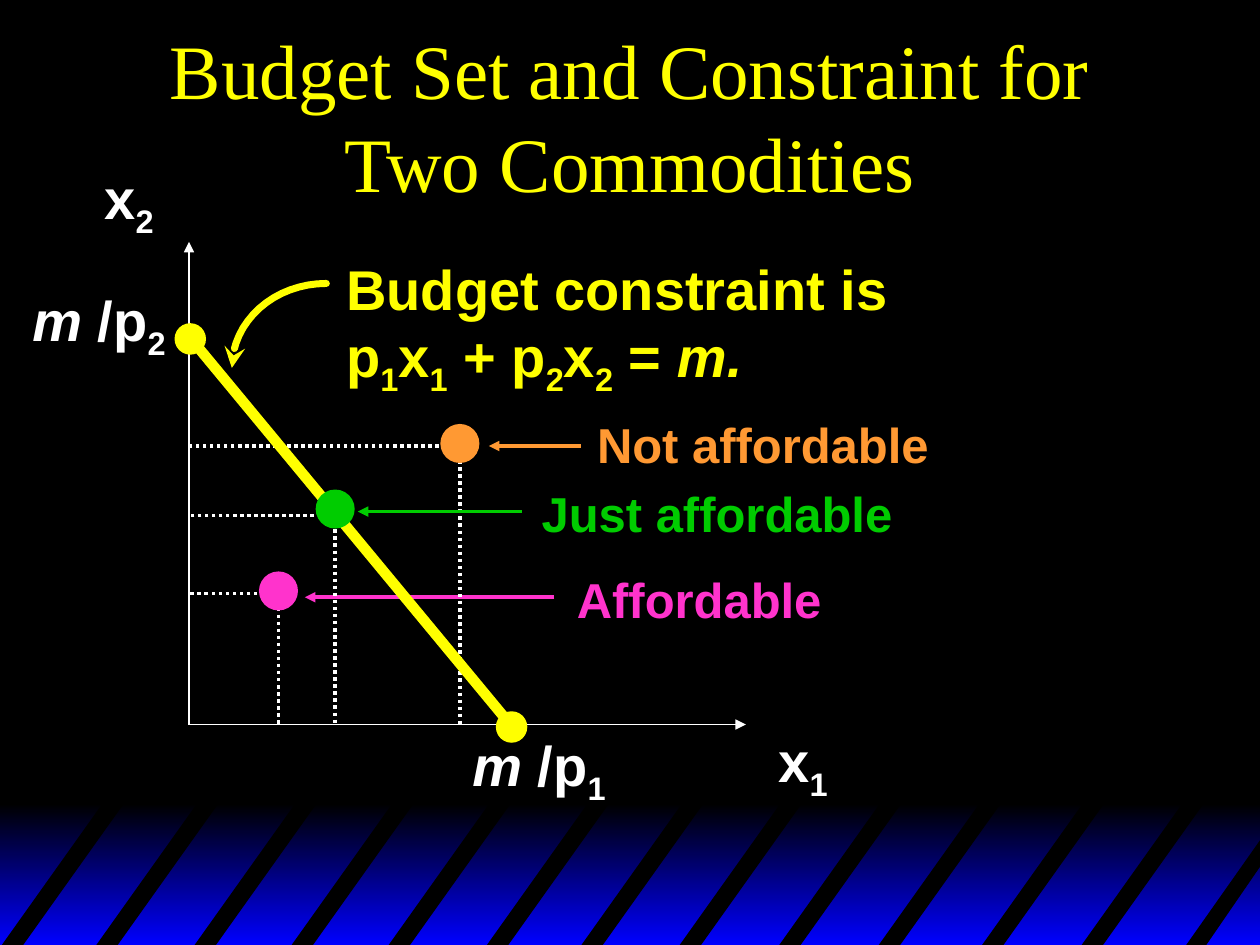
from collections import namedtuple
from math import cos, pi, sin

from lxml import etree
from pptx import Presentation
from pptx.dml.color import RGBColor
from pptx.enum.dml import MSO_LINE
from pptx.enum.shapes import MSO_CONNECTOR, MSO_SHAPE
from pptx.enum.text import MSO_ANCHOR, PP_ALIGN
from pptx.oxml.ns import qn
from pptx.util import Inches, Pt

BLACK = RGBColor(0x00, 0x00, 0x00)
BLUE = RGBColor(0x00, 0x00, 0xFF)
WHITE = RGBColor(0xFF, 0xFF, 0xFF)
YELLOW = RGBColor(0xFF, 0xFF, 0x00)
PINK = RGBColor(0xFF, 0x33, 0xCC)
GREEN = RGBColor(0x00, 0xCC, 0x00)
ORANGE = RGBColor(0xFF, 0x99, 0x33)

STRAIGHT = MSO_CONNECTOR.STRAIGHT
OVAL = MSO_SHAPE.OVAL
RECTANGLE = MSO_SHAPE.RECTANGLE
DOTTED = MSO_LINE.ROUND_DOT
MIDDLE = MSO_ANCHOR.MIDDLE
CENTER = PP_ALIGN.CENTER

Box = namedtuple("Box", "left top width height")
Bundle = namedtuple("Bundle", "label color x guide_y dot_y arrow_y arrow_from arrow_to label_box")

BUNDLES = [
    Bundle("Affordable", PINK, 0.71, 2.79, 2.77, 2.82, 2.9, 0.92, Box(2.98, 2.55, 2.14, 0.57)),
    Bundle("Not affordable", ORANGE, 2.15, 1.62, 1.6, 1.62, 3.11, 2.38, Box(3.14, 1.32, 2.83, 0.57)),
    Bundle("Just affordable", GREEN, 1.16, 2.17, 2.12, 2.14, 2.64, 1.34, Box(2.7, 1.87, 2.99, 0.57)),
]
STRIPE_LEFTS = [0, 0.75, 1.53, 2.3, 3.07, 3.85, 4.6, 5.38, 6.17, 6.96, 7.78, 8.57]


def inside(box, part):
    return Box(box.left + part.left, box.top + part.top, part.width, part.height)


def add_text(page, box, lines, size, color, font="Arial", bold=True, wrap=True):
    text_box = page.shapes.add_textbox(*map(Inches, box))
    frame = text_box.text_frame
    frame.word_wrap = wrap
    for index, spans in enumerate(lines):
        para = frame.paragraphs[0] if index == 0 else frame.add_paragraph()
        for text, style in spans:
            span = para.add_run()
            span.text = text
            span.font.name = font
            span.font.size = Pt(size)
            span.font.bold = bold
            span.font.italic = style == "italic"
            span.font.color.rgb = color
            if style == "sub":
                span.font._element.set("baseline", "-25000")
    return frame


def add_arrowhead(shape, end, kind):
    etree.SubElement(shape.line._get_or_add_ln(), qn(f"a:{end}"), type=kind)


def add_line(page, box, start, finish, color, width, dash=None, arrow=False):
    points = [Inches(v) for x, y in (start, finish) for v in (box.left + x, box.top + y)]
    line = page.shapes.add_connector(STRAIGHT, *points)
    etree.SubElement(line._element.spPr, qn("a:effectLst"))
    line.line.color.rgb = color
    line.line.width = Pt(width)
    if dash:
        line.line.dash_style = dash
    if arrow:
        add_arrowhead(line, "tailEnd", "triangle")


def add_dot(page, box, x, y, size, color):
    part = inside(box, Box(x - size / 2, y - size / 2, size, size))
    dot = page.shapes.add_shape(OVAL, *map(Inches, part))
    dot.shadow.inherit = False
    dot.fill.solid()
    dot.fill.fore_color.rgb = color
    dot.line.fill.background()


def add_polygon(page, box, points, closed=True):
    (x, y), *rest = [(Inches(box.left + x), Inches(box.top + y)) for x, y in points]
    builder = page.shapes.build_freeform(x, y)
    builder.add_line_segments(rest, close=closed)
    shape = builder.convert_to_shape()
    shape.shadow.inherit = False
    return shape


def draw_footer(page, box):
    band = page.shapes.add_shape(RECTANGLE, *map(Inches, box))
    band.shadow.inherit = False
    band.line.fill.background()
    band.fill.gradient()
    band.fill.gradient_angle = 270
    for stop, position, color in zip(band.fill.gradient_stops, (0, 1), (BLACK, BLUE)):
        stop.position = position
        stop.color.rgb = color

    top, bottom = -0.04, 1.14
    outlines = [
        [(left, bottom), (left + 0.84, top), (left + 1.01, top), (left + 0.17, bottom)]
        for left in STRIPE_LEFTS
    ]
    outlines.append([(9.4, bottom), (10.02, 0.26), (10.02, 0.47), (9.56, bottom)])
    for outline in outlines:
        stripe = add_polygon(page, box, outline)
        stripe.fill.solid()
        stripe.fill.fore_color.rgb = BLACK
        stripe.line.fill.background()


def draw_title(page, box):
    title = [[("Budget Set and Constraint for Two Commodities", "")]]
    frame = add_text(page, box, title, 44, YELLOW, "Times New Roman", bold=False)
    frame.vertical_anchor = MIDDLE
    frame.paragraphs[0].alignment = CENTER


def draw_axes(page, box):
    origin = (0, box.height)
    add_line(page, box, origin, (0, 0), WHITE, 1, arrow=True)
    add_line(page, box, origin, (box.width, box.height), WHITE, 1, arrow=True)
    labels = [
        (Box(-0.77, -0.67, 0.61, 0.71), [("x", ""), ("2", "sub")]),
        (Box(4.58, 3.8, 0.67, 0.71), [("x", ""), ("1", "sub")]),
        (Box(-1.34, 0.3, 1.33, 0.71), [("m ", "italic"), ("/p", ""), ("2", "sub")]),
        (Box(2.15, 3.83, 1.35, 0.71), [("m ", "italic"), ("/p", ""), ("1", "sub")]),
    ]
    for part, spans in labels:
        add_text(page, inside(box, part), [spans], 32, WHITE)


def draw_constraint_note(page, box):
    equation = [
        ("p", ""), ("1", "sub"), ("x", ""), ("1", "sub"), (" + p", ""), ("2", "sub"),
        ("x", ""), ("2", "sub"), (" = ", ""), ("m.", "italic"),
    ]
    note = inside(box, Box(0.81, 0, 4.5, 1.24))
    add_text(page, note, [[("Budget constraint is", "")], equation], 32, YELLOW, wrap=False)

    steps = 16
    angles = [pi / 2 * step / steps for step in range(steps + 1)]
    points = [(0.75 * (1 - cos(angle)), 0.95 - 0.67 * sin(angle)) for angle in angles]
    curve = add_polygon(page, box, points, closed=False)
    curve.fill.background()
    curve.line.color.rgb = YELLOW
    curve.line.width = Pt(4)
    curve.line._get_or_add_ln().set("cap", "rnd")
    add_arrowhead(curve, "headEnd", "stealth")


def draw_bundles(page, box):
    for bundle in BUNDLES:
        corner = (bundle.x, bundle.guide_y)
        for foot in ((0, bundle.guide_y), (bundle.x, box.height)):
            add_line(page, box, corner, foot, WHITE, 2, dash=DOTTED)
        start = (bundle.arrow_from, bundle.arrow_y)
        finish = (bundle.arrow_to, bundle.arrow_y)
        add_line(page, box, start, finish, bundle.color, 2, arrow=True)
        label_box = inside(box, bundle.label_box)
        add_text(page, label_box, [[(bundle.label, "")]], 28, bundle.color, wrap=False)


def draw_budget_line(page, box):
    start, finish = (0, 0.75), (2.55, box.height)
    add_line(page, box, start, finish, YELLOW, 6)
    for x, y in (start, finish):
        add_dot(page, box, x + 0.01, y + 0.02, 0.25, YELLOW)
    for bundle in BUNDLES:
        add_dot(page, box, bundle.x, bundle.dot_y, 0.31, bundle.color)


def main():
    deck = Presentation()
    deck.slide_width = Inches(10)
    deck.slide_height = Inches(7.5)
    page = deck.slides.add_slide(deck.slide_layouts[6])
    page.background.fill.solid()
    page.background.fill.fore_color.rgb = BLACK

    plot = Box(1.5, 1.92, 4.42, 3.83)
    draw_footer(page, Box(0, 6.38, 10.02, 1.12))
    draw_title(page, Box(0.75, 0.25, 8.5, 1.33))
    draw_axes(page, plot)
    draw_constraint_note(page, Box(1.84, 1.97, 5.31, 1.24))
    draw_bundles(page, plot)
    draw_budget_line(page, plot)
    deck.save("out.pptx")


if __name__ == "__main__":
    main()
